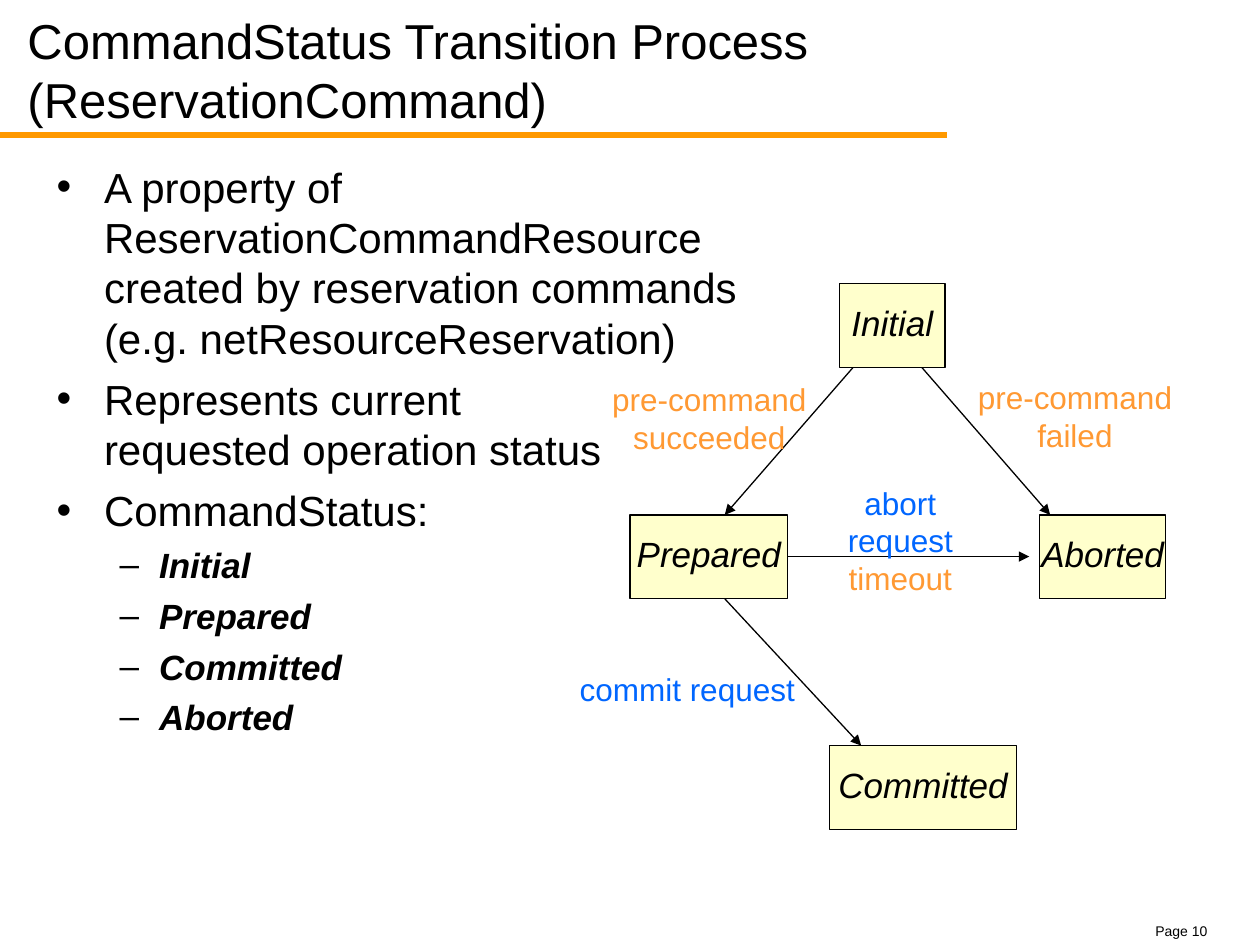
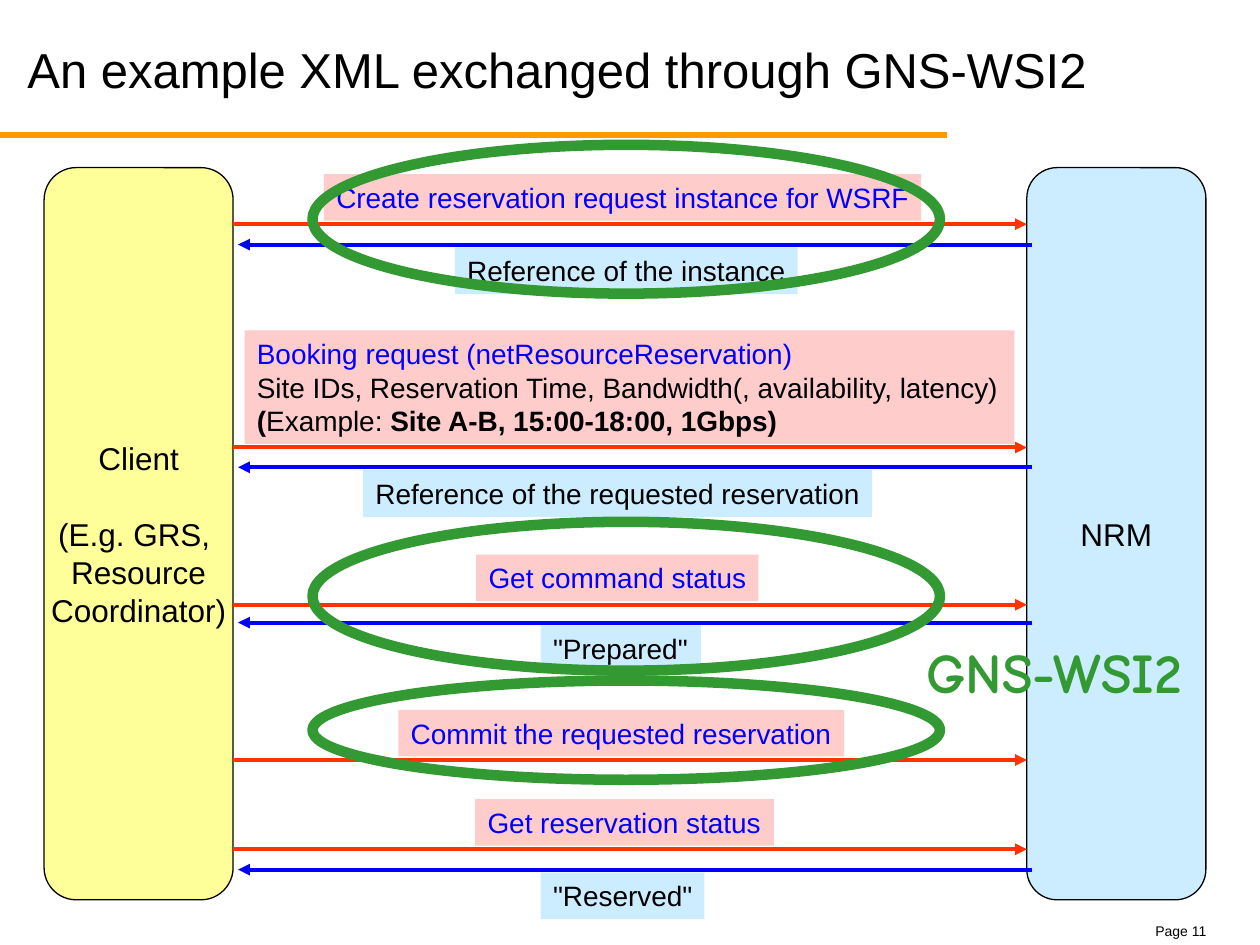
from lxml import etree
from pptx import Presentation
from pptx.dml.color import RGBColor
from pptx.enum.shapes import MSO_CONNECTOR, MSO_SHAPE
from pptx.enum.text import MSO_ANCHOR, MSO_AUTO_SIZE, PP_ALIGN
from pptx.oxml.ns import qn
from pptx.util import Cm, Pt

STRAIGHT = MSO_CONNECTOR.STRAIGHT
RECTANGLE = MSO_SHAPE.RECTANGLE
ROUNDED = MSO_SHAPE.ROUNDED_RECTANGLE
OVAL = MSO_SHAPE.OVAL
MIDDLE, TOP = MSO_ANCHOR.MIDDLE, MSO_ANCHOR.TOP
NO_FIT = MSO_AUTO_SIZE.NONE
LEFT, CENTER = PP_ALIGN.LEFT, PP_ALIGN.CENTER

FONT = "Arial"
COLORS = {
    "text": "000000", "rule": "FF9900", "state": "FFFFCC",
    "event": "FF9933", "command": "0066FF",
    "client": "FFFF99", "nrm": "CCECFF",
    "request": "FF3300", "request_label": "FFCCCC", "request_text": "0000FF",
    "reply": "0000FF", "reply_label": "CCECFF", "wsi": "339933",
}
COLORS = {part: RGBColor.from_string(value) for part, value in COLORS.items()}


def add_line(slide, start, end, color, width, arrow=True):
    line = slide.shapes.add_connector(STRAIGHT, *map(Cm, start + end))
    line.line.color.rgb = COLORS[color]
    line.line.width = Pt(width)
    if arrow:
        etree.SubElement(line.line._get_or_add_ln(), qn("a:tailEnd"), type="triangle")
    etree.SubElement(line._element.spPr, qn("a:effectLst"))


def add_box(slide, kind, place, text, size, color="text", fill=None, outline=None,
            align=LEFT, anchor=TOP, inset=0.13):
    if kind is None:
        box = slide.shapes.add_textbox(*map(Cm, place))
    else:
        box = slide.shapes.add_shape(kind, *map(Cm, place))
        box.shadow.inherit = False
        box.fill.solid()
        box.fill.fore_color.rgb = COLORS[fill]
        if outline:
            box.line.color.rgb = COLORS[outline]
            box.line.width = Pt(0.75)
        else:
            box.line.fill.background()
    frame = box.text_frame
    frame.text = text
    frame.word_wrap = False
    frame.vertical_anchor = anchor
    frame.margin_top = Cm(inset)
    for paragraph in frame.paragraphs:
        paragraph.alignment = align
        for run in paragraph.runs:
            run.font.name = FONT
            run.font.size = Pt(size)
            run.font.color.rgb = COLORS[color]
    return box


prs = Presentation()
prs.slide_width, prs.slide_height = Cm(25.4), Cm(19.05)

pages = [
    (10, 1, "CommandStatus Transition Process (ReservationCommand)"),
    (11, 5, "An example XML exchanged through GNS-WSI2"),
]
for number, layout, heading in pages:
    slide = prs.slides.add_slide(prs.slide_layouts[layout])
    add_box(slide, None, (23.04, 18.47, 2.54, 0.61), f"Page {number}", 8)
    add_line(slide, (0, 2.72), (19.1, 2.72), "rule", 3, arrow=False)
    title = slide.shapes.title
    title.left, title.top, title.width, title.height = map(Cm, (0.3, 0.66, 24.79, 1.47))
    title.text_frame.text = heading
    title.text_frame.auto_size = NO_FIT
    title.text_frame.vertical_anchor = MIDDLE
    paragraph = title.text_frame.paragraphs[0]
    paragraph.alignment = LEFT
    font = paragraph.runs[0].font
    font.name, font.size, font.color.rgb = FONT, Pt(28), COLORS["text"]

transition, exchange = prs.slides

points = [
    (0, "A property of ReservationCommandResource created by reservation commands "
        "(e.g. netResourceReservation)"),
    (0, "Represents current \vrequested operation status"),
    (0, "CommandStatus:"),
    (1, "Initial"),
    (1, "Prepared"),
    (1, "Committed"),
    (1, "Aborted"),
]
body = transition.placeholders[1]
body.left, body.top, body.width, body.height = map(Cm, (0.89, 3.12, 14.6, 14.4))
body.text_frame.text = "\n".join(text for level, text in points)
body.text_frame.auto_size = NO_FIT
for index, (level, text) in enumerate(points):
    paragraph = body.text_frame.paragraphs[index]
    paragraph.level = level
    paragraph.space_before = Pt((6, 5)[level] if index else 0)
    for run in paragraph.runs:
        run.font.name = FONT
        run.font.size = Pt((24, 20)[level])
        run.font.color.rgb = COLORS["text"]
        run.font.bold = run.font.italic = level == 1

arrows = [
    ((17.36, 7.22), (14.61, 10.38)),
    ((14.61, 12.07), (17.36, 15.03)),
    ((14.82, 11.22), (20.75, 11.22)),
    ((18.42, 7.22), (21.17, 10.38)),
]
for start, end in arrows:
    add_line(transition, start, end, "text", 0.75)

triggers = [
    ("pre-command\nfailed", (19.46, 7.62, 4.42, 1.65), "event"),
    ("pre-command\nsucceeded", (12.09, 7.67, 4.42, 1.65), "event"),
    ("commit request", (11.43, 13.51, 4.85, 0.89), "command"),
    ("abort request\ntimeout", (16.03, 9.75, 4.24, 1.65), "command"),
]
for text, place, color in triggers:
    trigger = add_box(transition, None, place, text, 18, color, align=CENTER, inset=0)
timeout = trigger.text_frame.paragraphs[1].runs[0]
timeout.font.color.rgb = COLORS["event"]

states = [
    ("Initial", 16.93, 5.72, 2.12),
    ("Prepared", 12.7, 10.38, 3.18),
    ("Aborted", 20.96, 10.38, 2.54),
    ("Committed", 16.72, 15.03, 3.78),
]
for text, left, top, width in states:
    state = add_box(transition, RECTANGLE, (left, top, width, 1.69), text, 20,
                    fill="state", outline="text", align=CENTER, anchor=MIDDLE, inset=0)
    state.text_frame.paragraphs[0].runs[0].font.italic = True

parties = [
    ("Client\n(E.g. GRS, \vResource\vCoordinator)", 0.89, 3.81, "client"),
    ("NRM", 20.7, 3.61, "nrm"),
]
for text, left, width, fill in parties:
    party = add_box(exchange, ROUNDED, (left, 3.38, width, 14.76), text, 18,
                    fill=fill, outline="text", align=CENTER, anchor=MIDDLE)
    party.adjustments[0] = 0.17
    for paragraph in party.text_frame.paragraphs[1:]:
        paragraph.space_before = Pt(21.6)

LABEL_HEIGHT = 0.94
BOOKING_HEIGHT = 2.29
booking_text = ("Booking request (netResourceReservation)\v"
                "Site IDs, Reservation Time, Bandwidth(, availability, latency)\n"
                "(Example: Site A-B, 15:00-18:00, 1Gbps)")
requests = [
    (4.52, "Create reservation request instance for WSRF", 6.53, 12.04),
    (12.19, "Get command status", 9.6, 5.69),
    (15.32, "Commit the requested reservation", 8.03, 8.99),
    (17.12, "Get reservation status", 9.58, 6.02),
    (9.02, booking_text, 4.93, 15.52),
]
for y, text, left, width in requests:
    height = BOOKING_HEIGHT if text == booking_text else LABEL_HEIGHT
    add_line(exchange, (4.7, y), (20.7, y), "request", 2.25)
    request = add_box(exchange, RECTANGLE, (left, y - height - 0.07, width, height),
                      text, 16, "request_text", fill="request_label")

summary, example = request.text_frame.paragraphs
summary.runs[1].font.color.rgb = COLORS["text"]
example.text = ""
for text, bold in [("(", True), ("Example:", False), (" Site A-B, 15:00-18:00, 1Gbps)", True)]:
    run = example.add_run()
    run.text = text
    run.font.name, run.font.size, run.font.bold = FONT, Pt(16), bold
    run.font.color.rgb = COLORS["text"]

replies = [
    (4.93, "Reference of the instance", 9.17, 6.91),
    (9.42, "Reference of the requested reservation", 7.32, 10.26),
    (12.55, '"Prepared"', 10.9, 3.23),
    (17.53, '"Reserved"', 10.9, 3.3),
]
for y, text, left, width in replies:
    add_line(exchange, (20.8, y), (4.8, y), "reply", 2.25)
    add_box(exchange, RECTANGLE, (left, y + 0.06, width, LABEL_HEIGHT), text, 16,
            fill="reply_label")

for top, height in [(2.92, 3), (13.72, 2), (10.52, 3)]:
    ring = exchange.shapes.add_shape(OVAL, *map(Cm, (6.3, top, 12.65, height)))
    ring.shadow.inherit = False
    ring.fill.background()
    ring.line.color.rgb = COLORS["wsi"]
    ring.line.width = Pt(6)

interface = add_box(exchange, None, (18.42, 12.73, 5.72, 1.63), "GNS-WSI2", 32, "wsi")
interface_font = interface.text_frame.paragraphs[0].runs[0].font
interface_font.name, interface_font.bold = "Comic Neue", True

prs.save("out.pptx")
